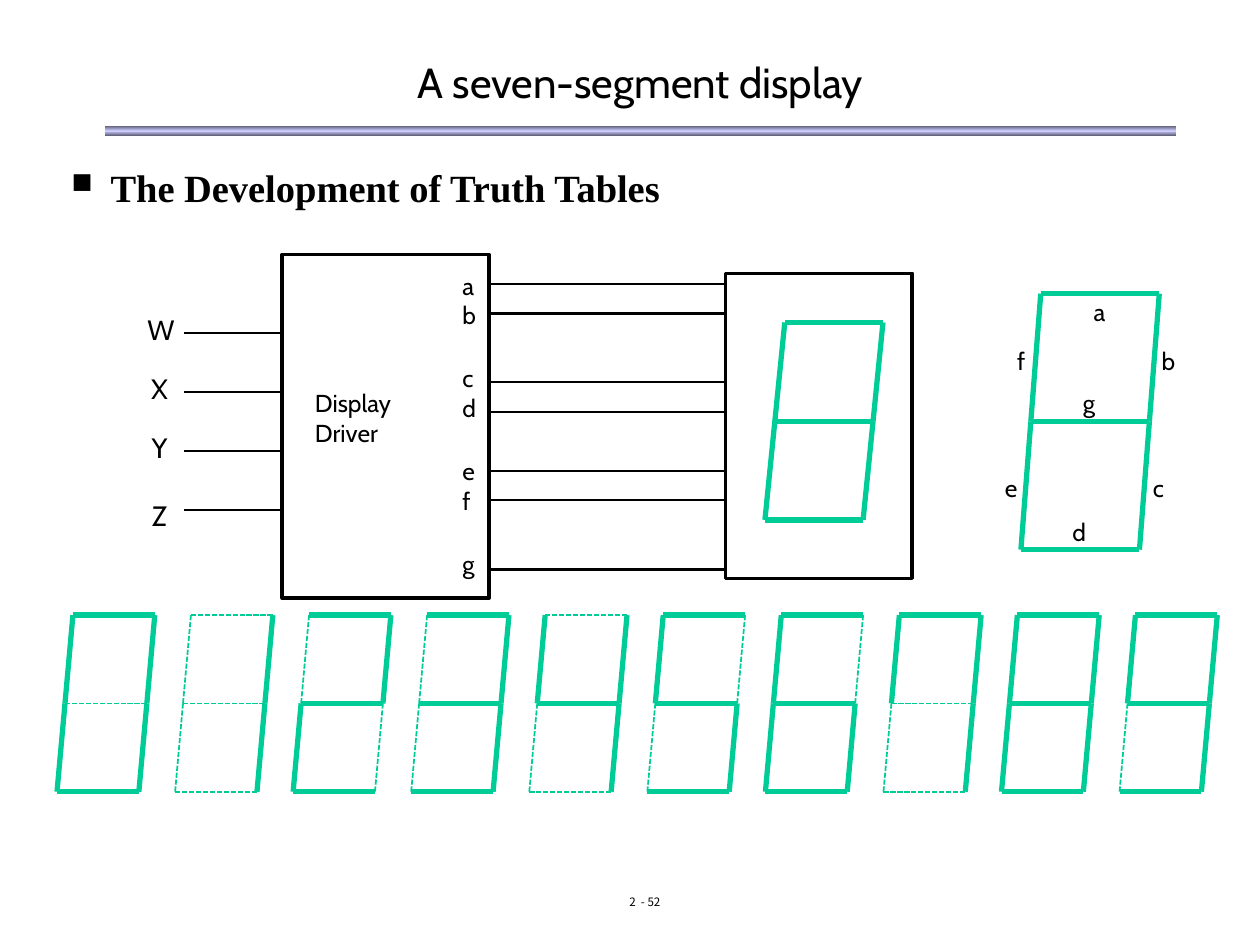
import copy
import dataclasses

import pptx
import pptx.dml.color
import pptx.enum.dml
import pptx.enum.shapes
import pptx.enum.text
import pptx.oxml.ns
import pptx.oxml.xmlchemy
import pptx.util

Cm, Pt = pptx.util.Cm, pptx.util.Pt
ALIGN = pptx.enum.text.PP_ALIGN
MIDDLE = pptx.enum.text.MSO_ANCHOR.MIDDLE
DASH = pptx.enum.dml.MSO_LINE.SQUARE_DOT
qn = pptx.oxml.ns.qn


# Colours, fonts and type sizes
@dataclasses.dataclass(frozen=True)
class Theme:
    ink: str = "000000"
    glow: str = "00CC98"
    edge: str = "5E5E76"
    shine: str = "CCCCFF"
    sans: str = "Cabin"
    serif: str = "Times New Roman"
    small: str = "Noto Sans CJK KR"
    title: float = 24
    head: float = 22
    input: float = 16
    label: float = 14
    page: float = 6.6


THEME = Theme()

# Lit segments of the digits 0 to 9
DIGITS = ["abcdef", "bc", "abdeg", "abcdg", "bcfg",
          "acdfg", "acdefg", "abcf", "abcdefg", "abcdfg"]


def paint(code):
    return pptx.dml.color.RGBColor.from_string(code)


def apply(thing, values):
    for name, value in values.items():
        setattr(thing, name, value)


def make(tag, **values):
    item = pptx.oxml.xmlchemy.OxmlElement(tag)
    for name, value in values.items():
        item.set(name, value)
    return item


def add_text(slide, box, lines, size, font=THEME.sans, bold=False, anchor=None, **form):
    frame = slide.shapes.add_textbox(*map(Cm, box)).text_frame
    apply(frame, {"word_wrap": True, "vertical_anchor": anchor})
    for i, line in enumerate(lines):
        para = frame.paragraphs[0] if i == 0 else frame.add_paragraph()
        apply(para, form)
        run = para.add_run()
        run.text = line
        apply(run.font, {"size": Pt(size), "name": font, "bold": bold})
        run.font.color.rgb = paint(THEME.ink)
    return frame


def add_line(shapes, start, end, color, width, dash=None):
    line = shapes.add_connector(
        pptx.enum.shapes.MSO_CONNECTOR.STRAIGHT, *map(Cm, start + end))
    line.line.color.rgb = paint(color)
    apply(line.line, {"width": Pt(width), "dash_style": dash})
    line._element.spPr.append(make("a:effectLst"))


def add_rect(slide, box):
    rect = slide.shapes.add_shape(
        pptx.enum.shapes.MSO_SHAPE.RECTANGLE, *map(Cm, box))
    rect.shadow.inherit = False
    return rect


def add_frame(slide, box):
    rect = add_rect(slide, box)
    rect.fill.background()
    rect.line.color.rgb = paint(THEME.ink)
    rect.line.width = Pt(2)


def add_bar(slide, box):
    bar = add_rect(slide, box)
    bar.line.fill.background()
    bar.fill.gradient()
    bar.fill.gradient_angle = 90
    stops = bar._element.spPr.find(".//" + qn("a:gsLst"))
    stops.append(copy.deepcopy(stops[0]))
    colors = [THEME.edge, THEME.shine, THEME.edge]
    for stop, color, place in zip(bar.fill.gradient_stops, colors, [0, 0.5, 1]):
        stop.color.rgb = paint(color)
        stop.position = place


def add_digit(slide, left, top, width, height, slant, lit="abcdefg"):
    """Draw seven slanted segments; height is that of one half."""
    rows = [(left - slant * i, top + height * i) for i in range(3)]
    (tl, ml, bl), (tr, mr, br) = rows, [(x + width, y) for x, y in rows]
    parts = {"a": (tl, tr), "g": (ml, mr), "d": (bl, br), "f": (tl, ml),
             "b": (tr, mr), "e": (ml, bl), "c": (mr, br)}
    group = slide.shapes.add_group_shape()
    for name, (start, end) in parts.items():
        look = (3, None) if name in lit else (1, DASH)
        add_line(group.shapes, start, end, THEME.glow, *look)


def add_bullet(para):
    props = para._p.get_or_add_pPr()
    props.set("marL", str(Cm(0.79)))
    props.set("indent", str(Cm(-0.79)))
    color = make("a:buClr")
    color.append(make("a:srgbClr", val=THEME.ink))
    props.extend([color, make("a:buSzPct", val="75000"),
                  make("a:buChar", char="■")])


def add_head(slide):
    add_bar(slide, (2.11, 2.54, 21.59, 0.2))
    add_text(slide, (2.11, 1.12, 21.59, 1.07), ["A seven-segment display"],
             THEME.title, anchor=MIDDLE, alignment=ALIGN.CENTER)
    frame = add_text(slide, (1.19, 3.18, 12.4, 1.19),
                     ["The Development of Truth Tables"],
                     THEME.head, THEME.serif, bold=True)
    add_bullet(frame.paragraphs[0])
    add_text(slide, (10.36, 17.98, 5.28, 0.64), ["2  - 52"], THEME.page,
             THEME.small, alignment=ALIGN.CENTER, line_spacing=0.8)


def add_driver(slide):
    add_frame(slide, (5.69, 5.13, 4.17, 6.93))
    add_frame(slide, (14.63, 5.51, 3.76, 6.15))
    add_text(slide, (6.1, 7.7, 2.39, 1.45), ["Display Driver"], THEME.label)
    # Output names, with a gap before c, e and g
    names = add_text(slide, (9.07, 5.33, 0.79, 6.45), "abcdefg", THEME.label)
    for para in names.paragraphs[2::2]:
        para.space_before = Pt(19.4)
    # Output wires
    for y in [5.72, 6.32, 7.7, 8.3, 9.5, 10.08, 11.48]:
        add_line(slide.shapes, (9.86, y), (14.63, y), THEME.ink, 1.25)
    # Input wires and names
    for i, (name, top) in enumerate(zip("WXYZ", [6.17, 7.37, 8.56, 9.93])):
        y = 6.71 + 1.19 * i
        add_line(slide.shapes, (3.71, y), (5.69, y), THEME.ink, 0.75)
        add_text(slide, (2.72, top, 0.99, 0.94), [name], THEME.input,
                 alignment=ALIGN.CENTER)
    add_digit(slide, 15.82, 6.5, 1.98, 1.99, 0.2)


def add_key(slide):
    add_digit(slide, 20.98, 5.92, 2.39, 2.58, 0.2)
    spots = {"a": (21.77, 5.87), "b": (23.16, 6.86), "c": (22.96, 9.42),
             "d": (21.36, 10.29), "e": (19.99, 9.42), "f": (20.19, 6.86),
             "g": (21.56, 7.7)}
    for name, spot in spots.items():
        add_text(slide, spot + (0.79, 0.86), [name], THEME.label,
                 alignment=ALIGN.CENTER)


def main():
    deck = pptx.Presentation()
    apply(deck, {"slide_width": Cm(25.4), "slide_height": Cm(19.05)})
    slide = deck.slides.add_slide(deck.slide_layouts[6])
    add_head(slide)
    add_driver(slide)
    add_key(slide)
    # Row of the ten digits
    for i, lit in enumerate(DIGITS):
        add_digit(slide, 1.47 + 2.38 * i, 12.4, 1.65, 1.78, 0.16, lit)
    deck.save("out.pptx")


if __name__ == "__main__":
    main()
